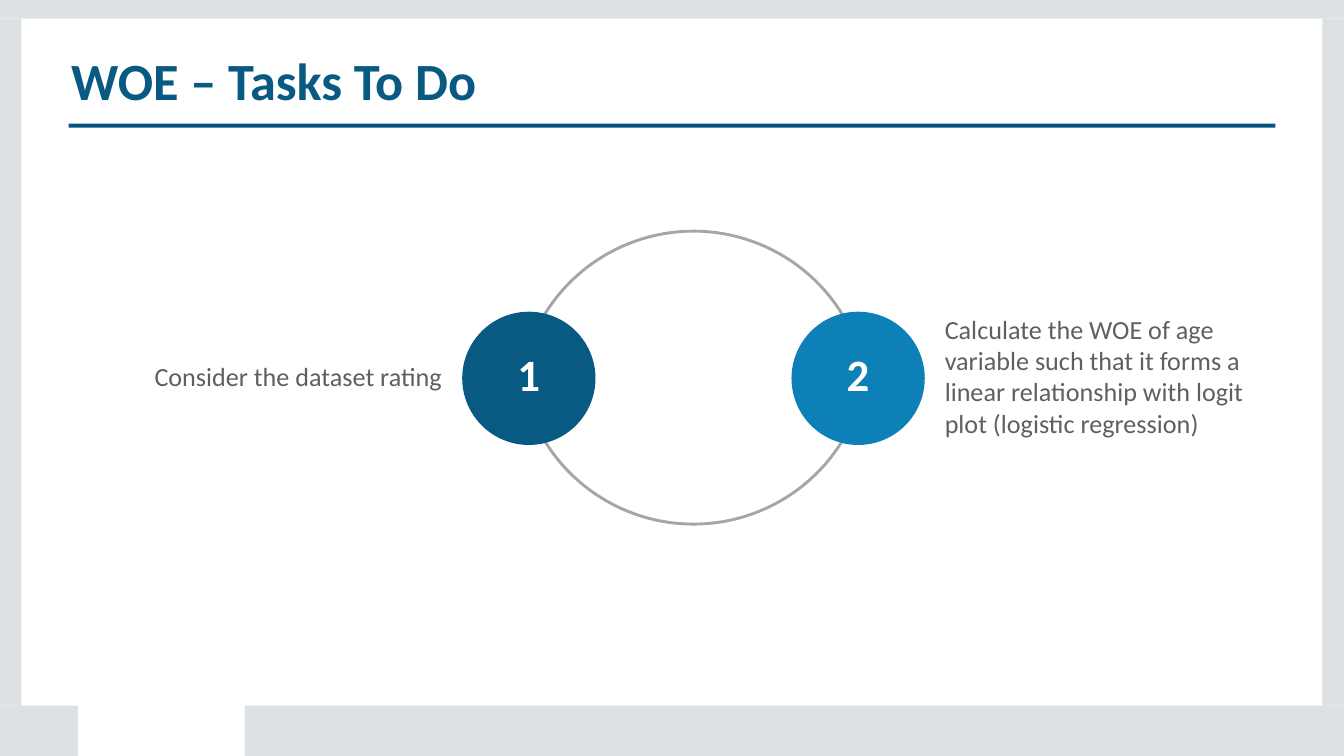
from math import asin, cos, pi, sin

from pptx import Presentation
from pptx.dml.color import RGBColor
from pptx.enum.shapes import MSO_SHAPE as Shape
from pptx.util import Inches, Pt

# Content
TITLE = "WOE – Tasks To Do"
TASKS = [
    {"number": "1", "color": "navy", "circle_left": 3.46,
     "text": "Consider the dataset rating", "box": (1.14, 2.67, 2.17, 0.26)},
    {"number": "2", "color": "blue", "circle_left": 5.91,
     "text": "Calculate the WOE of age variable such that it forms a linear "
             "relationship with logit plot (logistic regression)",
     "box": (7.02, 2.32, 2.26, 0.96)},
]
COLORS = {"frame": "DCE2E3", "navy": "095A82", "rule": "055180",
          "blue": "0D80B8", "ring": "A6A6A6", "text": "5F5F5F", "white": "FFFFFF"}
FONT = "Calibri"

# Layout: a 16:9 slide
WIDTH = 10
HEIGHT = WIDTH * 9 / 16
SIDE, TOP, BOTTOM = 0.16, 0.14, 5.25
FRAME = [
    (0, 0, WIDTH, TOP),
    (0, TOP, SIDE, BOTTOM - TOP),
    (WIDTH - SIDE, TOP, SIDE, BOTTOM - TOP),
    (0, BOTTOM, 0.58, HEIGHT - BOTTOM),
    (1.82, BOTTOM, WIDTH - 1.82, HEIGHT - BOTTOM),
]
CIRCLE_TOP, CIRCLE_SIZE = 2.34, 0.95
NUMBER_INSET, NUMBER_TOP, NUMBER_WIDTH, NUMBER_HEIGHT = 0.38, 2.57, 0.2, 0.43
RING_X, RING_Y, RING_RADIUS = 5.16, 2.81, 1.3
RING_RISE, HALF_CHORD = 1.09, 1.11
ARC_STEPS = 48


def color(name):
    return RGBColor.from_string(COLORS[name])


def add_filled(slide, kind, box, fill):
    shape = slide.shapes.add_shape(kind, *map(Inches, box))
    shape.shadow.inherit = False
    shape.fill.solid()
    shape.fill.fore_color.rgb = color(fill)
    shape.line.fill.background()
    return shape


def add_text(slide, box, text, size, fill, bold=False):
    frame = slide.shapes.add_textbox(*map(Inches, box)).text_frame
    frame.word_wrap = True
    frame.margin_right = frame.margin_bottom = 0
    frame.margin_left = frame.margin_top = Inches(0.01)
    paragraph = frame.paragraphs[0]
    paragraph.space_before = Pt(1)
    run = paragraph.add_run()
    run.text = text
    run.font.name, run.font.size, run.font.bold = FONT, Pt(size), bold
    run.font.color.rgb = color(fill)


def add_arc(slide, direction):
    """Draw one half of the ring: direction -1 is the upper arc, 1 the lower."""
    center_y = RING_Y + direction * (RING_RISE - RING_RADIUS)
    sweep = asin(HALF_CHORD / RING_RADIUS)
    angles = [sweep - 2 * sweep * step / ARC_STEPS for step in range(ARC_STEPS + 1)]
    points = [(Inches(RING_X + RING_RADIUS * sin(angle)),
               Inches(center_y + direction * RING_RADIUS * cos(angle)))
              for angle in angles]
    builder = slide.shapes.build_freeform(*points[0])
    builder.add_line_segments(points[1:], close=False)
    arc = builder.convert_to_shape()
    arc.shadow.inherit = False
    arc.fill.background()
    arc.line.color.rgb = color("ring")
    arc.line.width = Pt(1.56)


def main():
    presentation = Presentation()
    presentation.slide_width, presentation.slide_height = Inches(WIDTH), Inches(HEIGHT)
    slide = presentation.slides.add_slide(presentation.slide_layouts[6])

    # Frame, title and rule
    for box in FRAME:
        add_filled(slide, Shape.RECTANGLE, box, "frame")
    add_filled(slide, Shape.RECTANGLE, (0.51, 0.92, 8.98, 0.03), "rule")
    add_text(slide, (0.52, 0.35, 3.12, 0.49), TITLE, 28, "navy", bold=True)

    # Ring behind the circles
    for direction in (1, -1):
        add_arc(slide, direction)

    # Numbered circles with their tasks
    for task in TASKS:
        left = task["circle_left"]
        circle = add_filled(slide, Shape.OVAL,
                            (left, CIRCLE_TOP, CIRCLE_SIZE, CIRCLE_SIZE), task["color"])
        circle.line.color.rgb = color(task["color"])
        circle.line.width = Pt(3)
        add_text(slide, (left + NUMBER_INSET, NUMBER_TOP, NUMBER_WIDTH, NUMBER_HEIGHT),
                 task["number"], 24, "white", bold=True)
        add_text(slide, task["box"], task["text"], 14, "text")

    presentation.save("out.pptx")


if __name__ == "__main__":
    main()
